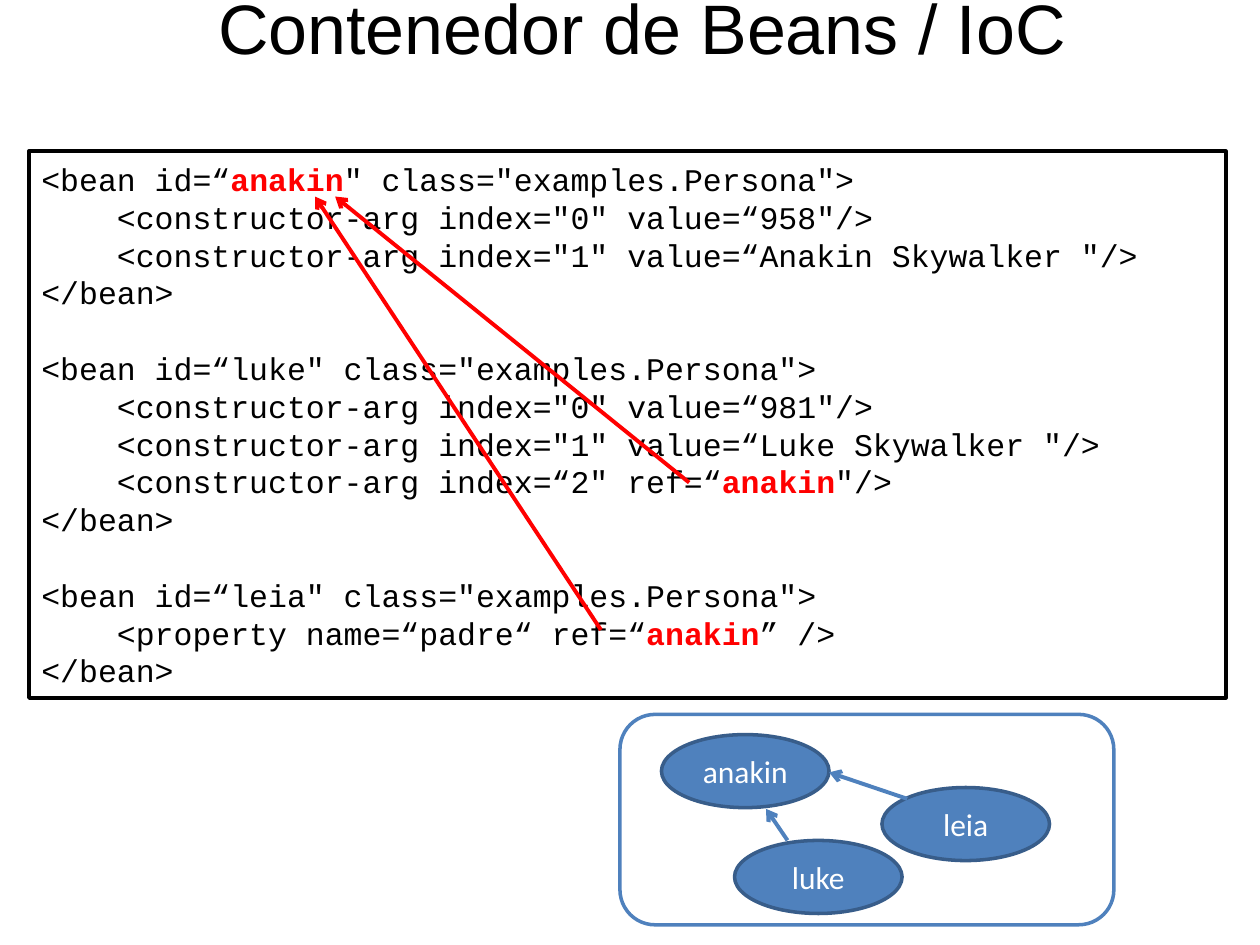
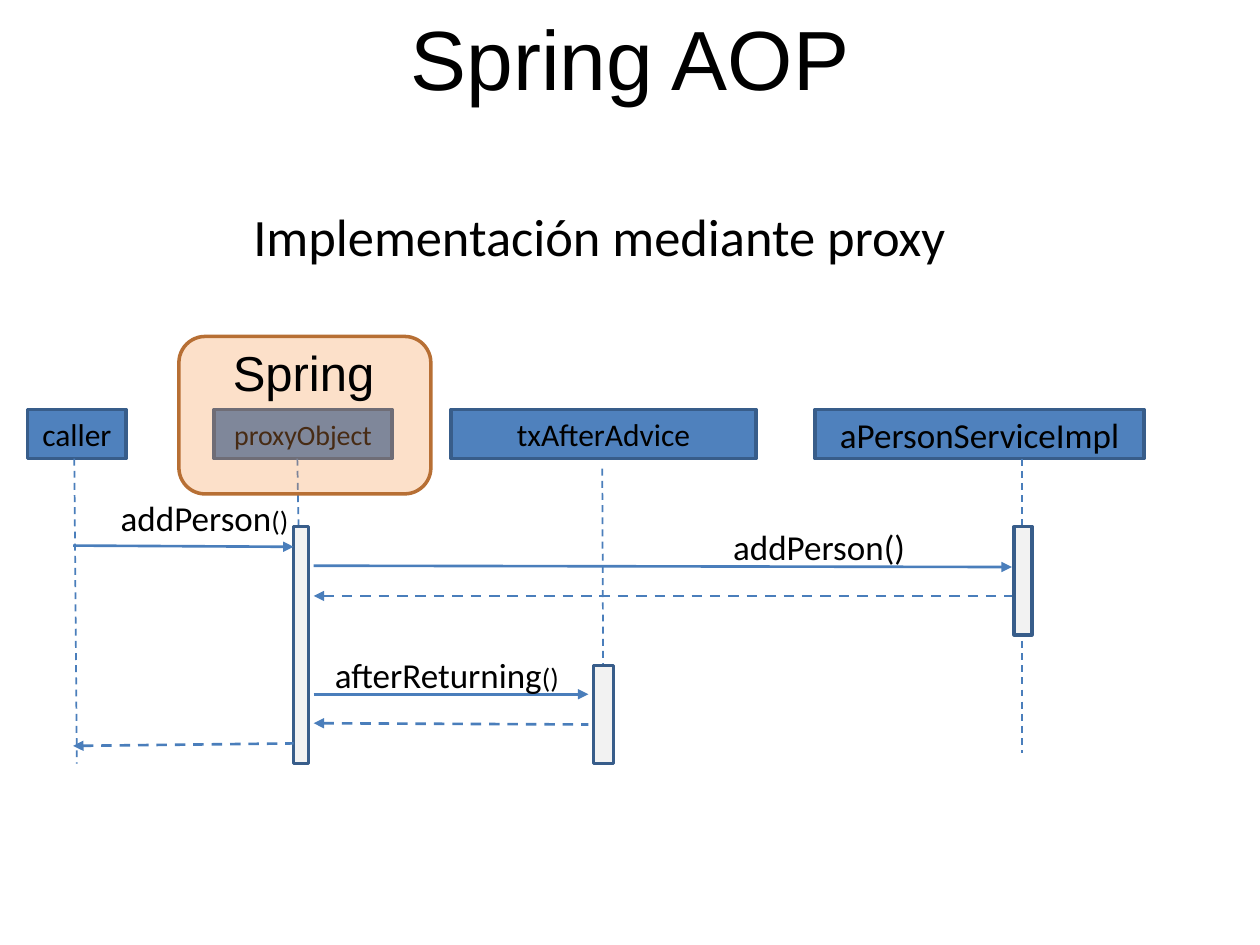
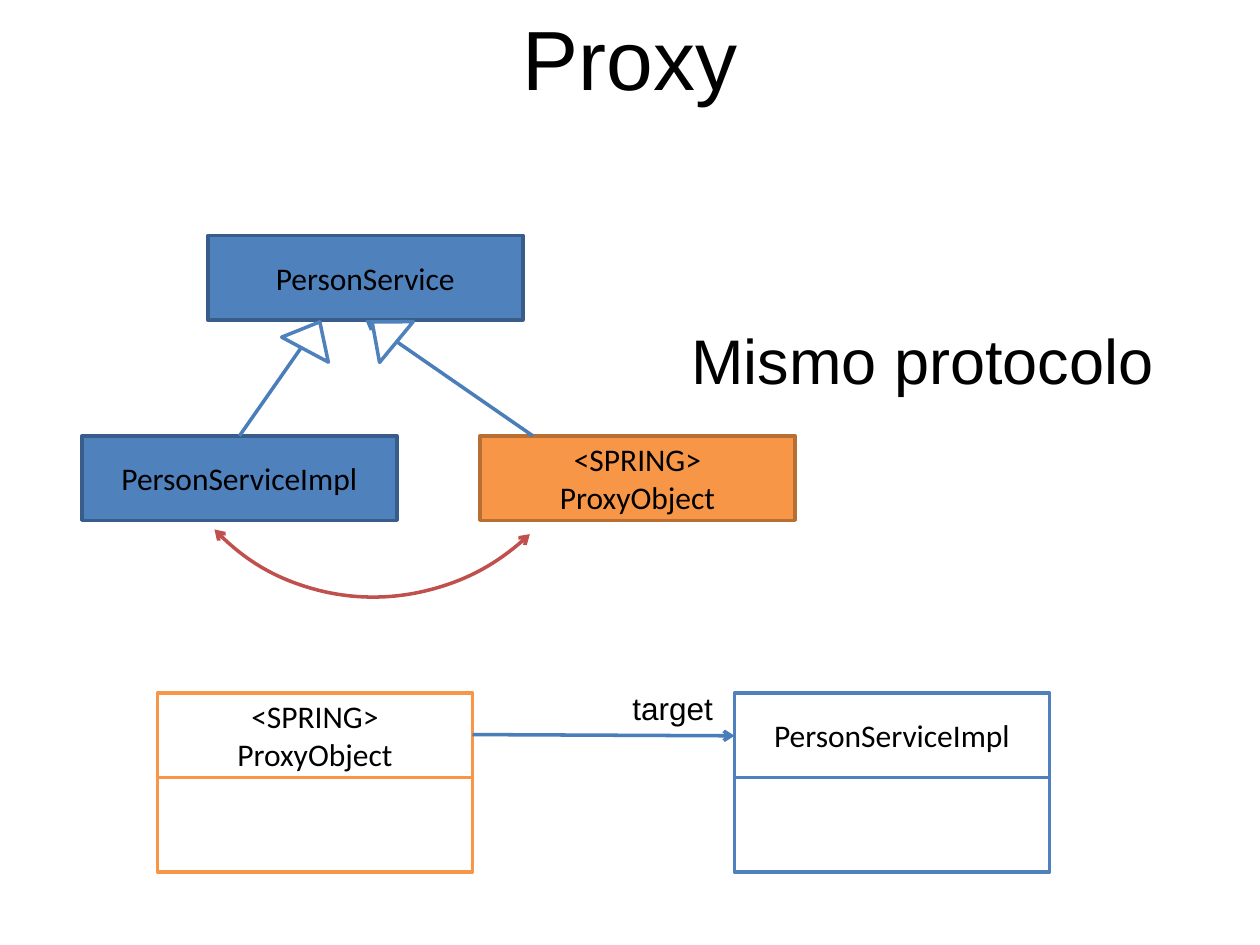
from lxml import etree
from pptx import Presentation
from pptx import util as u
from pptx.dml.color import RGBColor
from pptx.enum import dml, shapes, text
from pptx.oxml.ns import qn

BLACK, WHITE, RED = "000000", "FFFFFF", "FF0000"
BLUE, BLUE_EDGE, BLUE_LINE = "4F81BD", "385D8A", "4A7EBB"
ORANGE, ORANGE_EDGE, CRIMSON, PALE = "F79646", "B76F34", "C0504D", "F2F2F2"
SHAPE = shapes.MSO_SHAPE
CENTER, LEFT = text.PP_ALIGN.CENTER, text.PP_ALIGN.LEFT
TITLE_ONLY, TITLE_AND_BODY = 5, 1

BEANS = [
    ('<bean id=“anakin" class="examples.Persona">',
     '<constructor-arg index="0" value=“958"/>',
     '<constructor-arg index="1" value=“Anakin Skywalker "/>',
     '</bean>'),
    ('<bean id=“luke" class="examples.Persona">',
     '<constructor-arg index="0" value=“981"/>',
     '<constructor-arg index="1" value=“Luke Skywalker "/>',
     '<constructor-arg index=“2" ref=“anakin"/>',
     '</bean>'),
    ('<bean id=“leia" class="examples.Persona">',
     '<property name=“padre“ ref=“anakin” />',
     '</bean>'),
]


def rgb(value):
    return RGBColor.from_string(value)


def write(para, content, font="Calibri", size=18, color=BLACK, align=LEFT,
          indent=0, mark=None, mark_size=None, mark_color=None, mark_bold=False):
    """Fill a paragraph; the first occurrence of mark gets its own format."""
    para.alignment = align
    props = para._p.get_or_add_pPr()
    props.set("marL", str(u.Inches(indent)))
    props.set("indent", "0")
    parts = content.partition(mark) if mark else (content,)
    for part in filter(None, parts):
        marked = part == mark
        span = para.add_run()
        span.text = part
        span.font.name = font
        span.font.size = u.Pt(mark_size if marked and mark_size else size)
        span.font.bold = marked and mark_bold
        span.font.color.rgb = rgb(mark_color if marked and mark_color else color)


def add_ends(line, **ends):
    """Put arrowheads on a line: headEnd and tailEnd name their kinds."""
    outline = line._get_or_add_ln()
    for end in ("headEnd", "tailEnd"):
        if ends.get(end):
            etree.SubElement(outline, qn("a:" + end), type=ends[end])


class Slides:
    """Holds the deck, its style and the current page."""

    def __init__(self):
        self.deck = Presentation()
        self.deck.slide_width, self.deck.slide_height = u.Inches(10), u.Inches(7.5)
        self.page = None

    def place(self, box, at):
        box.left, box.top, box.width, box.height = map(u.Inches, at)

    def placeholder(self, box, at, content, **style):
        self.place(box, at)
        frame = box.text_frame
        frame.vertical_anchor = text.MSO_ANCHOR.TOP
        frame.auto_size = text.MSO_AUTO_SIZE.NONE
        para = frame.paragraphs[0]
        para.space_before = u.Pt(0)
        write(para, content, **style)

    def new_page(self, title, layout=TITLE_ONLY, at=(0, 0, 10, 0.91), size=48, indent=0):
        self.page = self.deck.slides.add_slide(self.deck.slide_layouts[layout])
        self.placeholder(self.page.shapes.title, at, title, font="Arial",
                         size=size, align=CENTER, indent=indent)

    def body(self, at, content, **style):
        box = self.page.placeholders[1]
        self.placeholder(box, at, content, **style)
        props = box.text_frame.paragraphs[0]._p.get_or_add_pPr()
        etree.SubElement(props, qn("a:buNone"))

    def shape(self, kind, at, fill=BLUE, edge=BLUE_EDGE, lines=(), alpha=None,
              rotation=0, **style):
        box = self.page.shapes.add_shape(kind, *map(u.Inches, at))
        box.shadow.inherit = False
        box.rotation = rotation
        if fill:
            box.fill.solid()
            box.fill.fore_color.rgb = rgb(fill)
        else:
            box.fill.background()
        if alpha:
            color = box._element.spPr.find(qn("a:solidFill"))[0]
            etree.SubElement(color, qn("a:alpha"), val=str(alpha * 1000))
        box.line.color.rgb = rgb(edge)
        box.line.width = u.Pt(2)
        frame = box.text_frame
        frame.vertical_anchor = text.MSO_ANCHOR.MIDDLE
        for number, line in enumerate(lines):
            para = frame.add_paragraph() if number else frame.paragraphs[0]
            write(para, line, align=CENTER, **style)
        return box

    def label(self, at, content, **style):
        box = self.page.shapes.add_textbox(*map(u.Inches, at))
        box.text_frame.word_wrap = False
        box.text_frame.auto_size = text.MSO_AUTO_SIZE.SHAPE_TO_FIT_TEXT
        write(box.text_frame.paragraphs[0], content, **style)

    def line(self, start, end, color=BLUE_LINE, width=2.0, dashed=False, head=None, tail=None):
        link = self.page.shapes.add_connector(
            shapes.MSO_CONNECTOR.STRAIGHT, *map(u.Inches, (*start, *end)))
        etree.SubElement(link._element.spPr, qn("a:effectLst"))
        link.line.color.rgb = rgb(color)
        link.line.width = u.Pt(width)
        if dashed:
            link.line.dash_style = dml.MSO_LINE.DASH
        add_ends(link.line, headEnd=head, tailEnd=tail)

    def code(self, at, blocks, mark):
        """Show blocks of code, with the inner lines of each block indented."""
        frame = self.shape(SHAPE.RECTANGLE, at, WHITE, BLACK).text_frame
        para = frame.paragraphs[0]
        for number, block in enumerate(blocks):
            for row, content in enumerate(block):
                if number or row:
                    para = frame.add_paragraph()
                para.line_spacing = u.Pt(21.6)
                para.space_before = u.Pt(21.6 if number and not row else 0)
                write(para, content, font="Courier New",
                      indent=0.6 if 0 < row < len(block) - 1 else 0,
                      mark=mark, mark_color=RED, mark_bold=True)


def build_container(show):
    show.new_page("Contenedor de Beans / IoC", at=(0, -0.17, 10, 0.77), size=40, indent=0.19)
    show.code((0.23, 1.2, 9.5, 4.34), BEANS, mark="anakin")
    for start, end in (((5.47, 3.83), (2.66, 1.56)), ((4.77, 5), (2.5, 1.56))):
        show.line(start, end, RED, 2.25, tail="arrow")
    show.shape(SHAPE.ROUNDED_RECTANGLE, (4.92, 5.67, 3.92, 1.67), WHITE, BLUE)
    for name, left, top in (("anakin", 5.25, 5.83), ("leia", 7, 6.25), ("luke", 5.83, 6.67)):
        show.shape(SHAPE.OVAL, (left, top, 1.33, 0.58), lines=[name], color=WHITE)
    for start, end in (((7.2, 6.34), (6.58, 6.13)), ((6.25, 6.67), (6.08, 6.42))):
        show.line(start, end, BLUE, 2.25, tail="arrow")


def build_sequence(show):
    show.new_page("Spring AOP", TITLE_AND_BODY)
    show.body((1.72, 1.57, 8.28, 1.01), "Implementación mediante proxy", size=30, indent=0.19)

    participants = (("caller", 0.22, 0.78, 18), ("proxyObject", 1.7, 1.41, 16),
                    ("txAfterAdvice", 3.58, 2.42, 18), ("aPersonServiceImpl", 6.47, 2.61, 20))
    for name, left, width, size in participants:
        show.shape(SHAPE.RECTANGLE, (left, 3.25, width, 0.39), lines=[name], size=size)

    lifelines = (((0.59, 3.64), (0.61, 6.06)), ((2.36, 3.64), (2.4, 5.98)),
                 ((4.78, 3.72), (4.79, 5.98)), ((8.11, 3.64), (8.11, 5.98)))
    for start, end in lifelines:
        show.line(start, end, width=1, dashed=True)
    for activation in ((2.33, 4.18, 0.12, 1.88), (8.05, 4.18, 0.14, 0.86),
                       (4.71, 5.28, 0.16, 0.78)):
        show.shape(SHAPE.RECTANGLE, activation, PALE)

    calls = (((0.58, 4.33), (2.33, 4.34)), ((2.49, 4.49), (8.03, 4.5)),
             ((2.49, 5.51), (4.67, 5.51)))
    replies = (((2.49, 4.73), (8.03, 4.73)), ((2.49, 5.74), (4.67, 5.75)),
               ((0.58, 5.92), (2.33, 5.9)))
    for start, end in calls:
        show.line(start, end, width=1.5, tail="triangle")
    for start, end in replies:
        show.line(start, end, width=1.5, dashed=True, head="triangle")

    for name, left, top, width, bracket_size in (
            ("addPerson()", 0.86, 3.89, 1.54, 16), ("addPerson()", 5.72, 4.12, 1.58, 20),
            ("afterReturning()", 2.56, 5.14, 2, 16)):
        show.label((left, top, width, 0.44), name, size=20, mark="()", mark_size=bracket_size)

    show.shape(SHAPE.ROUNDED_RECTANGLE, (1.42, 2.67, 2, 1.25), ORANGE, ORANGE_EDGE, alpha=29)
    show.label((1.75, 2.67, 1.34, 0.57), "Spring", font="Arial", size=28)


def build_proxy(show):
    show.new_page("Proxy")
    proxy, service = ["<SPRING>", "ProxyObject"], ["PersonServiceImpl"]
    width, height = 2.5, 0.67
    for lines, left, top, fill, edge in (
            (["PersonService"], 1.65, 1.87, BLUE, BLUE_EDGE),
            (service, 0.65, 3.46, BLUE, BLUE_EDGE),
            (proxy, 3.81, 3.46, ORANGE, ORANGE_EDGE)):
        show.shape(SHAPE.RECTANGLE, (left, top, width, height), fill, edge, lines)
    for start, end, corner, rotation in (
            ((1.9, 3.46), (2.53, 2.56), (2.27, 2.54), 28.1),
            ((4.23, 3.46), (2.9, 2.54), (2.84, 2.51), 309.6)):
        show.line(start, end, tail="arrow")
        show.shape(SHAPE.ISOSCELES_TRIANGLE, (*corner, 0.42, 0.25), WHITE, BLUE,
                   rotation=rotation)
    show.label((5.39, 2.5, 3.9, 0.71), "Mismo protocolo", font="Arial", size=36)
    arc = show.shape(SHAPE.ARC, (1.21, 1.22, 3.58, 3.5), None, CRIMSON, rotation=136.5)
    add_ends(arc.line, headEnd="arrow", tailEnd="arrow")

    for lines, left, edge in ((proxy, 1.25, ORANGE), (service, 5.83, BLUE)):
        show.shape(SHAPE.RECTANGLE, (left, 5.5, width, height), WHITE, edge, lines)
        show.shape(SHAPE.RECTANGLE, (left, 5.5 + height, width, 0.75), WHITE, edge)
    show.line((3.75, 5.83), (5.83, 5.84), tail="arrow")
    show.label((4.92, 5.42, 0.85, 0.4), "target", font="Arial")


def main():
    show = Slides()
    build_container(show)
    build_sequence(show)
    build_proxy(show)
    show.deck.save("out.pptx")


if __name__ == "__main__":
    main()
